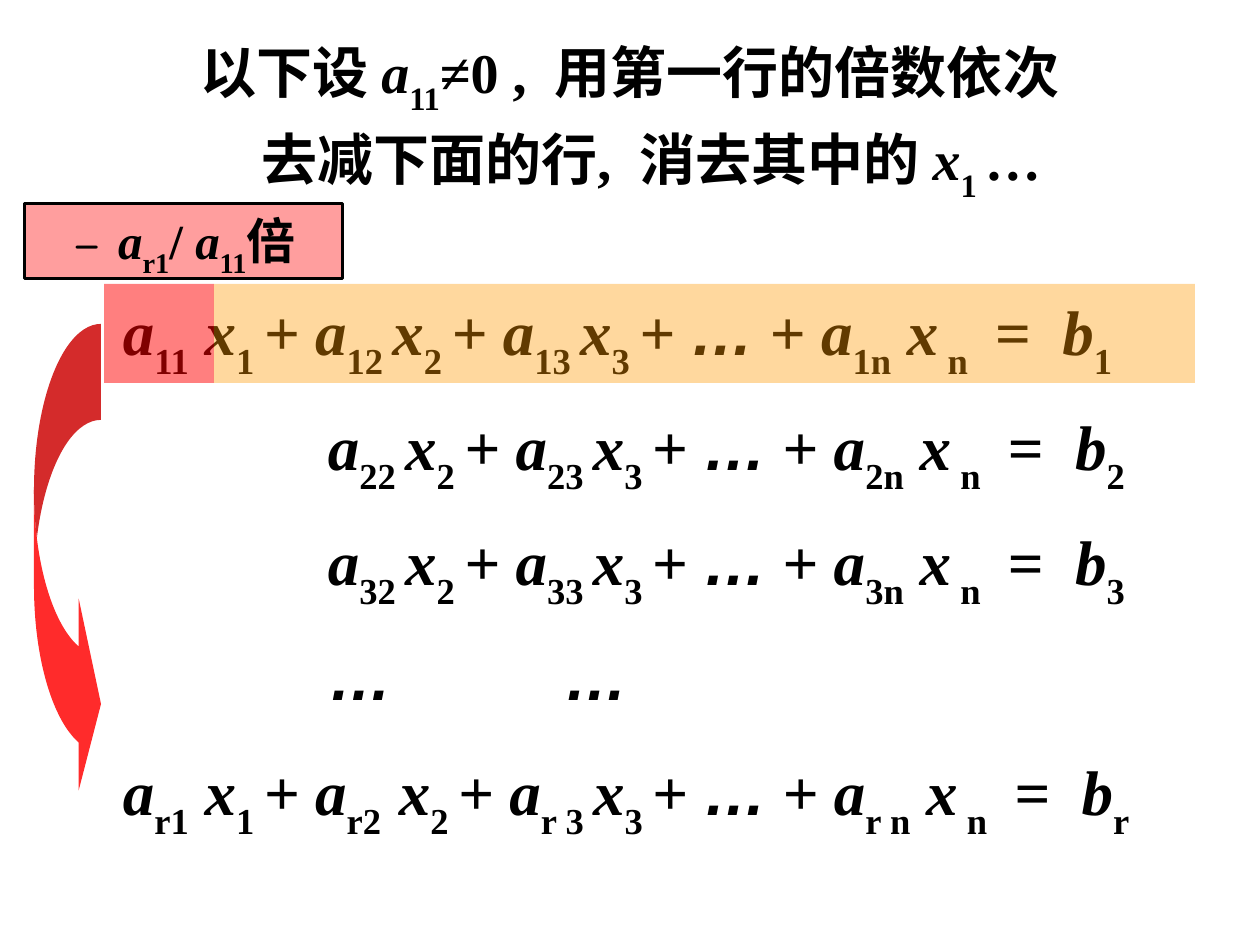
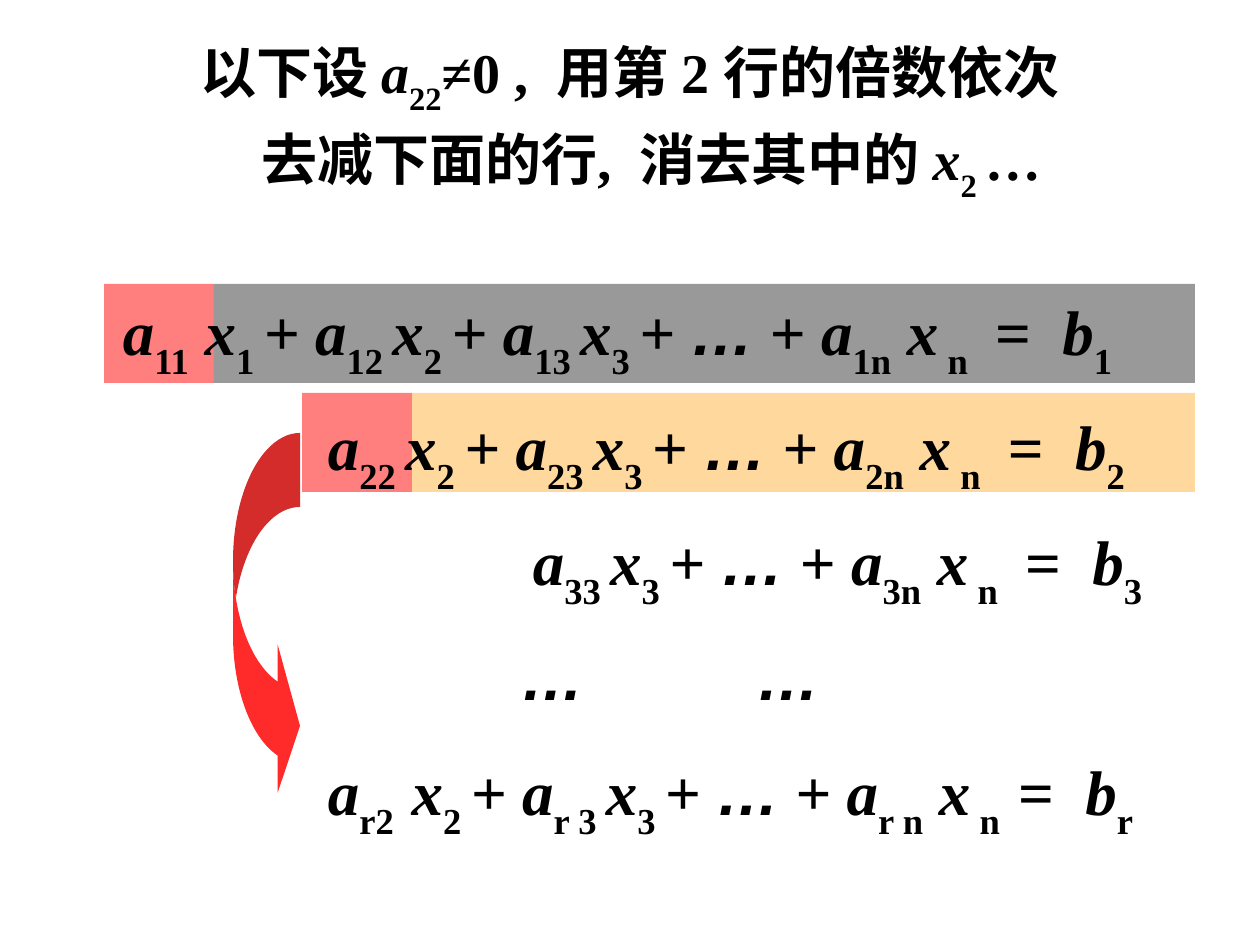
"""Build two slides on Gaussian elimination."""
from dataclasses import dataclass

from lxml.etree import SubElement
from pptx import Presentation
from pptx.dml.color import RGBColor
from pptx.enum.shapes import MSO_SHAPE
from pptx.enum.text import MSO_ANCHOR, MSO_AUTO_SIZE, PP_ALIGN
from pptx.oxml.ns import qn
from pptx.util import Emu, Pt

EMU_PER_PX = 914400 / 126


@dataclass(frozen=True)
class Theme:
    """Colours, fonts and type sizes shared by the slides."""

    ink: str = "000000"
    pivot: str = "FF0000"
    active: str = "FF9900"
    done: str = "808080"
    serif: str = "Times New Roman"
    sans: str = "Arial"
    hand: str = "Comic Neue"
    title_size: int = 32
    equation_size: int = 36
    label_size: int = 28


@dataclass(frozen=True)
class Box:
    """A rectangle in px."""

    left: int
    top: int
    width: int
    height: int

    def emu(self) -> tuple[Emu, ...]:
        """Return the rectangle in EMU."""
        return tuple(px(n) for n in (self.left, self.top, self.width, self.height))


@dataclass(frozen=True)
class Band:
    """A translucent shape marking part of the elimination."""

    box: Box
    color: str
    opacity: int
    kind: MSO_SHAPE = MSO_SHAPE.RECTANGLE
    adjustments: tuple[float, ...] = ()


@dataclass(frozen=True)
class Row:
    """A line of the system with its start in px."""

    markup: str
    start: int


@dataclass(frozen=True)
class Step:
    """One elimination step."""

    title: tuple[str, str]
    rows: tuple[Row, ...]
    bands: tuple[Band, ...]
    bands_in_front: bool
    factor: str = ""


THEME = Theme()
TITLE_BOX = Box(63, 38, 1134, 158)
SYSTEM_BOX = Box(76, 279, 1108, 573)
FACTOR_BOX = Box(25, 204, 318, 75)
COLUMN_STARTS = {1: 47, 2: 252, 3: 457}
RIGHT_EDGE = 1195
BAND_HEIGHT = 99
PIVOT_WIDTH = 110
SECOND_LINE_SHIFT = 42


def px(length: float) -> Emu:
    """Turn px into EMU."""
    return Emu(round(length * EMU_PER_PX))


def equation(row: str, first: int, equals_gap: int = 11) -> Row:
    """Write the equation of a row from its first remaining unknown."""
    terms = []
    for column in range(first, 4):
        index = f"{row} {column}" if (row, column) == ("r", 3) else f"{row}{column}"
        if column == 1:
            coefficient = f"a|_{index}| x"
        elif (row, column) == ("r", 2):
            coefficient = f"a|_{index}|>2|x"
        else:
            coefficient = f"a|_{index} |x"
        terms.append(f"{coefficient}|_{column} |+ ")
    last = "r n" if row == "r" else f"{row}n"
    markup = "".join(terms) + f"|…| + a|_{last}| x|_ n|>{equals_gap}|=|>16|b|_{row}"
    return Row(markup, COLUMN_STARTS[first])


def dots(start: int) -> Row:
    """Write the row that stands for the omitted equations."""
    return Row("…|>157|…|_ ", start)


def row_bands(left: int, top: int, color: str, opacity: int) -> tuple[Band, Band]:
    """Mark the pivot and the rest of one equation."""
    rest = left + PIVOT_WIDTH
    return (
        Band(Box(left, top, PIVOT_WIDTH, BAND_HEIGHT), THEME.pivot, 50),
        Band(Box(rest, top, RIGHT_EDGE - rest, BAND_HEIGHT), color, opacity),
    )


def arrow(box: Box, thickness: float) -> Band:
    """Describe the curved arrow from the pivot row to the last row."""
    return Band(box, THEME.pivot, 83, MSO_SHAPE.CURVED_RIGHT_ARROW,
                (thickness, 2 * thickness, 0.333))


def write(paragraph, markup: str, size: int, italic: bool = False,
          start: int = 0) -> None:
    """Fill a paragraph: _ subscript, * italics, ~ hand font, >n space widened by n px."""
    properties = paragraph._p.get_or_add_pPr()
    properties.set("marL", str(px(start)))
    properties.set("indent", "0")
    font = paragraph.font
    font.name, font.size, font.bold = THEME.serif, Pt(size), True
    font.italic = italic
    font.color.rgb = RGBColor.from_string(THEME.ink)
    for piece in markup.split("|"):
        run = paragraph.add_run()
        if piece.startswith(">"):
            run.text = " "
            spacing = round(px(int(piece[1:])).pt * 100)
            run._r.get_or_add_rPr().set("spc", str(spacing))
            continue
        run.text = piece.lstrip("_*~")
        if piece.startswith("_"):
            run.font.italic = False
            run._r.get_or_add_rPr().set("baseline", "-30000")
        elif piece.startswith("*"):
            run.font.italic = True
        elif piece.startswith("~"):
            run.font.name, run.font.bold = THEME.hand, False
        elif piece == "…" and italic:
            run.font.name = THEME.sans


def draw_title(slide, lines: tuple[str, str]) -> None:
    """Place the two-line title."""
    title = slide.shapes.title
    title.left, title.top, title.width, title.height = TITLE_BOX.emu()
    frame = title.text_frame
    frame.auto_size = MSO_AUTO_SIZE.NONE
    frame.vertical_anchor = MSO_ANCHOR.MIDDLE
    for number, line in enumerate(lines):
        paragraph = frame.add_paragraph() if number else frame.paragraphs[0]
        write(paragraph, line, THEME.title_size, start=number * SECOND_LINE_SHIFT)
        paragraph.alignment = PP_ALIGN.CENTER
        paragraph.line_spacing = 1.1
        paragraph.space_before = Pt(0)


def draw_system(slide, rows: tuple[Row, ...]) -> None:
    """Write the system of equations."""
    frame = slide.shapes.add_textbox(*SYSTEM_BOX.emu()).text_frame
    frame.word_wrap = True
    frame.margin_left = frame.margin_right = frame.margin_top = frame.margin_bottom = 0
    for number, row in enumerate(rows):
        paragraph = frame.add_paragraph() if number else frame.paragraphs[0]
        write(paragraph, row.markup, THEME.equation_size, italic=True, start=row.start)
        paragraph.line_spacing = 1.15
        if number:
            paragraph.space_before = Pt(7.2)


def draw_band(slide, band: Band):
    """Draw one translucent shape."""
    shape = slide.shapes.add_shape(band.kind, *band.box.emu())
    shape.shadow.inherit = False
    for index, value in enumerate(band.adjustments):
        shape.adjustments[index] = value
    shape.fill.solid()
    shape.fill.fore_color.rgb = RGBColor.from_string(band.color)
    color = shape._element.spPr.find(f"{qn('a:solidFill')}/{qn('a:srgbClr')}")
    SubElement(color, qn("a:alpha"), val=str(band.opacity * 1000))
    shape.line.fill.background()
    return shape


def draw_factor(slide, markup: str) -> None:
    """Draw the framed multiplier."""
    factor = draw_band(slide, Band(FACTOR_BOX, THEME.pivot, 38))
    factor.line.color.rgb = RGBColor.from_string(THEME.ink)
    factor.line.width = Pt(1.75)
    factor.text_frame.vertical_anchor = MSO_ANCHOR.TOP
    paragraph = factor.text_frame.paragraphs[0]
    write(paragraph, markup, THEME.label_size)
    paragraph.alignment = PP_ALIGN.CENTER


def draw_step(deck, step: Step) -> None:
    """Build the slide of one step."""
    slide = deck.slides.add_slide(deck.slide_layouts[5])
    draw_title(slide, step.title)
    if step.bands_in_front:
        draw_system(slide, step.rows)
    for band in step.bands:
        draw_band(slide, band)
    if not step.bands_in_front:
        draw_system(slide, step.rows)
    if step.factor:
        draw_factor(slide, step.factor)


STEPS = (
    Step(
        ("以下设 |*a|_11|≠0 ,|>14|用第一行的倍数依次",
         "去减下面的行,|>14|消去其中的 |*x|_1 |…"),
        (equation("1", 1), equation("2", 2), equation("3", 2),
         dots(253), equation("r", 1)),
        (*row_bands(104, 284, THEME.active, 38),
         arrow(Box(34, 324, 67, 476), 1.432)),
        True,
        "~– |*a|_r1|/ |*a|_11|倍",
    ),
    Step(
        ("以下设 |*a|_22|≠0 ,|>14|用第 2 行的倍数依次",
         "去减下面的行,|>14|消去其中的 |*x|_2 |…"),
        (equation("1", 1), equation("2", 2), equation("3", 3),
         dots(445), equation("r", 2, equals_gap=2)),
        (*row_bands(104, 284, THEME.done, 80),
         *row_bands(302, 393, THEME.active, 38),
         arrow(Box(233, 433, 67, 367), 1.104)),
        False,
    ),
)


def main() -> None:
    """Build and save the deck."""
    deck = Presentation()
    deck.slide_width, deck.slide_height = px(1260), px(945)
    for step in STEPS:
        draw_step(deck, step)
    deck.save("out.pptx")


if __name__ == "__main__":
    main()
